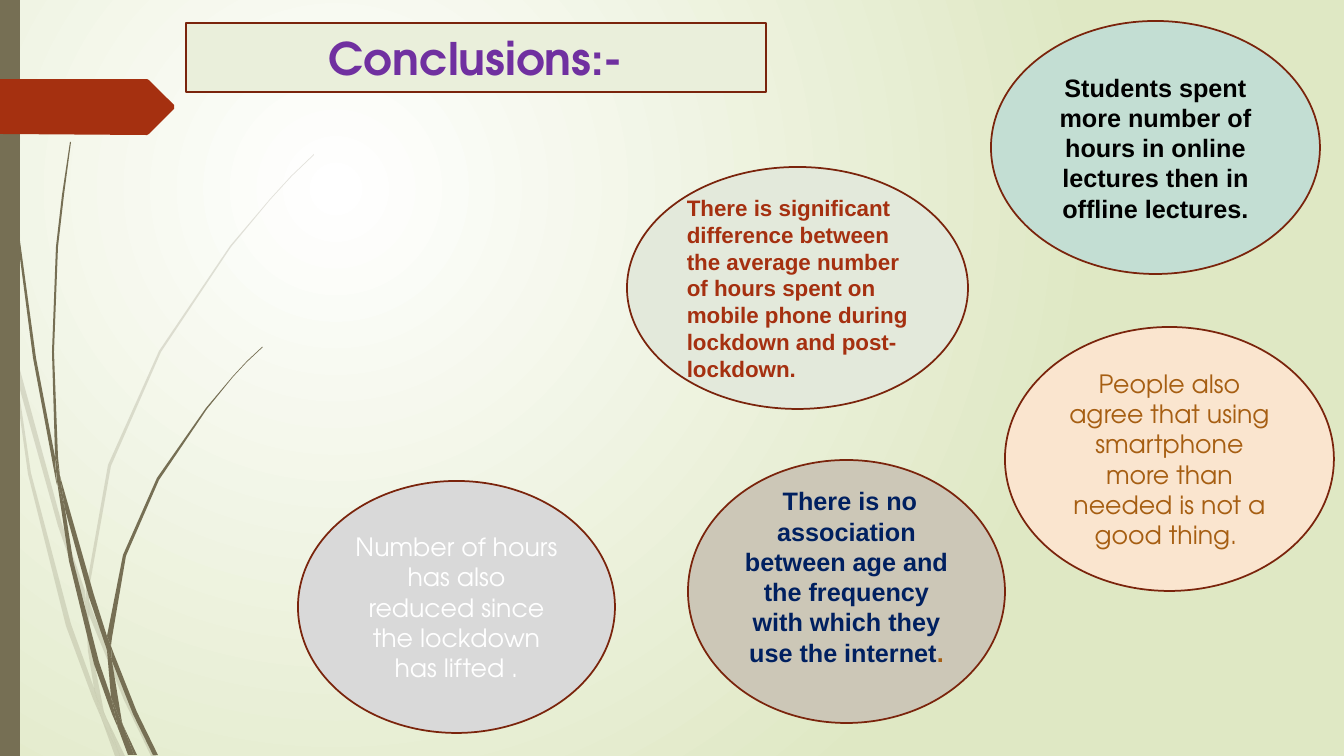
from lxml.etree import SubElement
from pptx import Presentation
from pptx.dml.color import RGBColor as RGB
from pptx.enum.shapes import MSO_SHAPE as Shape
from pptx.enum.text import MSO_ANCHOR as Anchor, MSO_AUTO_SIZE as Fit, PP_ALIGN as Align
from pptx.oxml.ns import qn
from pptx.util import Emu, Pt

SCALE = 914400 / 100.8
THEME = dict(
    white="FFFFFF", leaf="DFE8C4", earth="766F54", rust="A53010", edge="7A240C",
    cream="EAEFDB", violet="7030A0", sage="E3E9DB", mint="C3DED3", black="000000",
    peach="FAE5CF", brown="A65E12", gray="D9D9D9", sand="CCC7B7", navy="002060",
    head=32, text=18, small=16, line=1.25,
    sans="Arial", round="TeX Gyre Adventor",
)


def px(*nums):
    return [Emu(round(n * SCALE)) for n in nums]


def paint(shape, fill, edge=None):
    shape.shadow.inherit = False
    shape.fill.solid()
    shape.fill.fore_color.rgb = RGB.from_string(THEME[fill])
    if edge:
        shape.line.color.rgb = RGB.from_string(THEME[edge])
        shape.line.width = Pt(THEME["line"])
    else:
        shape.line.fill.background()


deck = Presentation()
deck.slide_width, deck.slide_height = px(1344, 756)
slide = deck.slides.add_slide(deck.slide_layouts[5])
shapes = slide.shapes

# Radial background
back = slide.background.fill
back.gradient()
for stop, tint, place in zip(back.gradient_stops, ("white", "leaf"), (0, 1)):
    stop.color.rgb = RGB.from_string(THEME[tint])
    stop.position = place
grad = next(slide.background._cSld.iter(qn("a:gradFill")))
grad.remove(grad.find(qn("a:lin")))
ring = SubElement(grad, qn("a:path"), {"path": "circle"})
SubElement(ring, qn("a:fillToRect"), l="50000", t="50000", r="100000", b="100000")

# Outlines of the grass, pale tuft behind dark tuft
pale = [
    [(11, 353), (9, 325), (0, 284), (0, 301), (10, 347)],
    [(58, 526), (85, 604), (85, 591), (62, 524), (14, 348), (17, 379)],
    [(93, 612), (89, 601), (89, 615), (124, 700), (151, 756), (156, 756), (128, 698)],
    [(120, 756), (125, 756), (106, 717)],
    [(94, 688), (71, 624), (31, 473), (17, 379), (11, 353), (28, 474), (66, 626),
     (93, 699), (102, 720), (100, 713)],
    [(85, 604), (88, 651), (94, 688), (97, 698), (106, 717), (104, 712), (92, 651),
     (89, 615), (89, 613)],
    [(89, 589), (111, 466), (161, 352), (231, 247), (270, 200), (292, 176), (314, 155),
     (314, 154), (291, 176), (270, 199), (230, 246), (159, 351), (108, 465), (86, 589),
     (86, 591), (89, 601)],
    [(102, 720), (115, 756), (120, 756)],
    [(89, 613), (89, 615), (89, 601), (86, 591), (85, 604)],
    [(97, 698), (94, 688), (100, 713), (102, 720), (120, 756), (106, 717)],
]
dark = [
    [(7, 111), (17, 235), (33, 358), (56, 481), (57, 485), (55, 461), (55, 457), (36, 358),
     (19, 234), (8, 110), (5, 48), (4, 0), (3, 0), (4, 48)],
    [(89, 597), (107, 650), (107, 638), (107, 636), (94, 595), (60, 476), (65, 509)],
    [(114, 654), (111, 646), (112, 661), (133, 714), (153, 755), (158, 755), (137, 712)],
    [(111, 697), (99, 662), (73, 560), (65, 509), (57, 481), (69, 561), (94, 664),
     (112, 714), (118, 728), (117, 723)],
    [(60, 476), (58, 457), (54, 352), (58, 247), (64, 195), (71, 142), (70, 142),
     (62, 195), (56, 247), (52, 352), (55, 453)],
    [(134, 755), (137, 755), (123, 725)],
    [(57, 481), (65, 509), (60, 476), (55, 453), (55, 457)],
    [(112, 638), (126, 556), (159, 480), (207, 409), (233, 377), (247, 362), (263, 347),
     (262, 347), (247, 361), (233, 376), (206, 408), (157, 478), (123, 555), (107, 636),
     (111, 646)],
    [(118, 728), (128, 755), (132, 755)],
    [(107, 650), (111, 697), (117, 712), (123, 725), (122, 722), (112, 661), (110, 656)],
    [(107, 650), (110, 656), (112, 661), (111, 646), (107, 636), (107, 638)],
    [(117, 712), (111, 697), (117, 723), (118, 728), (131, 755), (134, 755), (123, 725)],
]
flag = [(0, 79), (147, 79), (149, 80), (174, 105), (174, 109), (149, 134), (147, 135), (0, 134)]

bar = shapes.add_shape(Shape.RECTANGLE, *px(0, 0, 20, 756))
paint(bar, "earth")
for tuft, fill, alpha in ((pale, "earth", 20), (dark, "earth", 100), ([flag], "rust", 100)):
    home = shapes if tuft == [flag] else shapes.add_group_shape().shapes
    for outline in tuft:
        points = [px(*point) for point in outline]
        pen = home.build_freeform(*points[0], scale=1.0)
        pen.add_line_segments(points[1:], close=True)
        blade = pen.convert_to_shape()
        paint(blade, fill)
        if alpha < 100:
            color = next(blade._element.spPr.iter(qn("a:srgbClr")))
            SubElement(color, qn("a:alpha"), val=str(alpha * 1000))
    if tuft is dark:
        # The bar covers the grass, the flag covers the bar
        shapes._spTree.append(bar._element)

# Title
title = shapes.title
title.left, title.top, title.width, title.height = px(186, 23, 580, 69)
paint(title, "cream", "edge")
frame = title.text_frame
frame.text = "Conclusions:-"
frame.auto_size = Fit.NONE
frame.vertical_anchor = Anchor.MIDDLE
para = frame.paragraphs[0]
para.alignment = Align.CENTER
para.font.name, para.font.size, para.font.bold = THEME["round"], Pt(THEME["head"]), True
para.font.color.rgb = RGB.from_string(THEME["violet"])

# Findings: box, fill, ink, font, size, bold, alignment, text
notes = [
    ((627, 167, 341, 242), "sage", "rust", "sans", "small", True, Align.LEFT,
     "There is significant difference between the average number of hours spent "
     "on mobile phone during lockdown and post-lockdown."),
    ((991, 21, 329, 253), "mint", "black", "sans", "text", True, Align.CENTER,
     "Students spent more number of hours in online lectures then in offline lectures."),
    ((1005, 327, 329, 264), "peach", "brown", "round", "text", False, Align.CENTER,
     "People also agree that using smartphone more than needed is not a good thing. "),
    ((298, 481, 317, 252), "gray", "white", "round", "text", False, Align.CENTER,
     "Number of hours has also reduced since the lockdown has lifted ."),
    ((688, 460, 317, 263), "sand", "navy", "sans", "text", True, Align.CENTER,
     " There is no association between age and the frequency with which they use the internet"),
]
for box, fill, ink, face, size, bold, align, text in notes:
    oval = shapes.add_shape(Shape.OVAL, *px(*box))
    paint(oval, fill, "edge")
    frame = oval.text_frame
    frame.word_wrap = True
    frame.vertical_anchor = Anchor.MIDDLE
    para = frame.paragraphs[0]
    para.alignment = align
    para.add_run().text = text
    para.font.name, para.font.size, para.font.bold = THEME[face], Pt(THEME[size]), bold
    para.font.color.rgb = RGB.from_string(THEME[ink])

# The last finding sits a little higher and ends in a brown full stop
frame.margin_bottom = px(35)[0]
dot = para.add_run()
dot.text = "."
dot.font.color.rgb = RGB.from_string(THEME["brown"])

deck.save("out.pptx")
